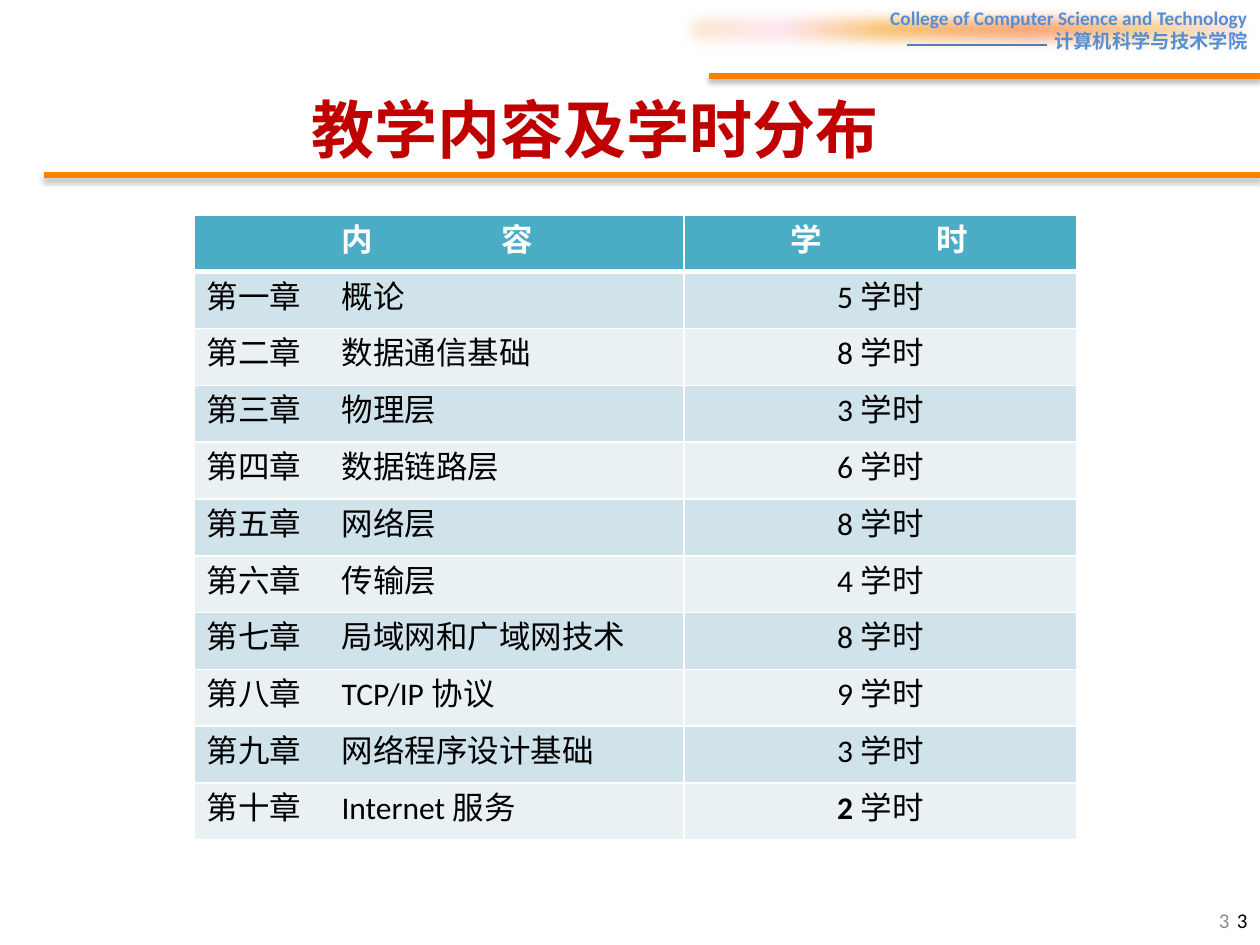
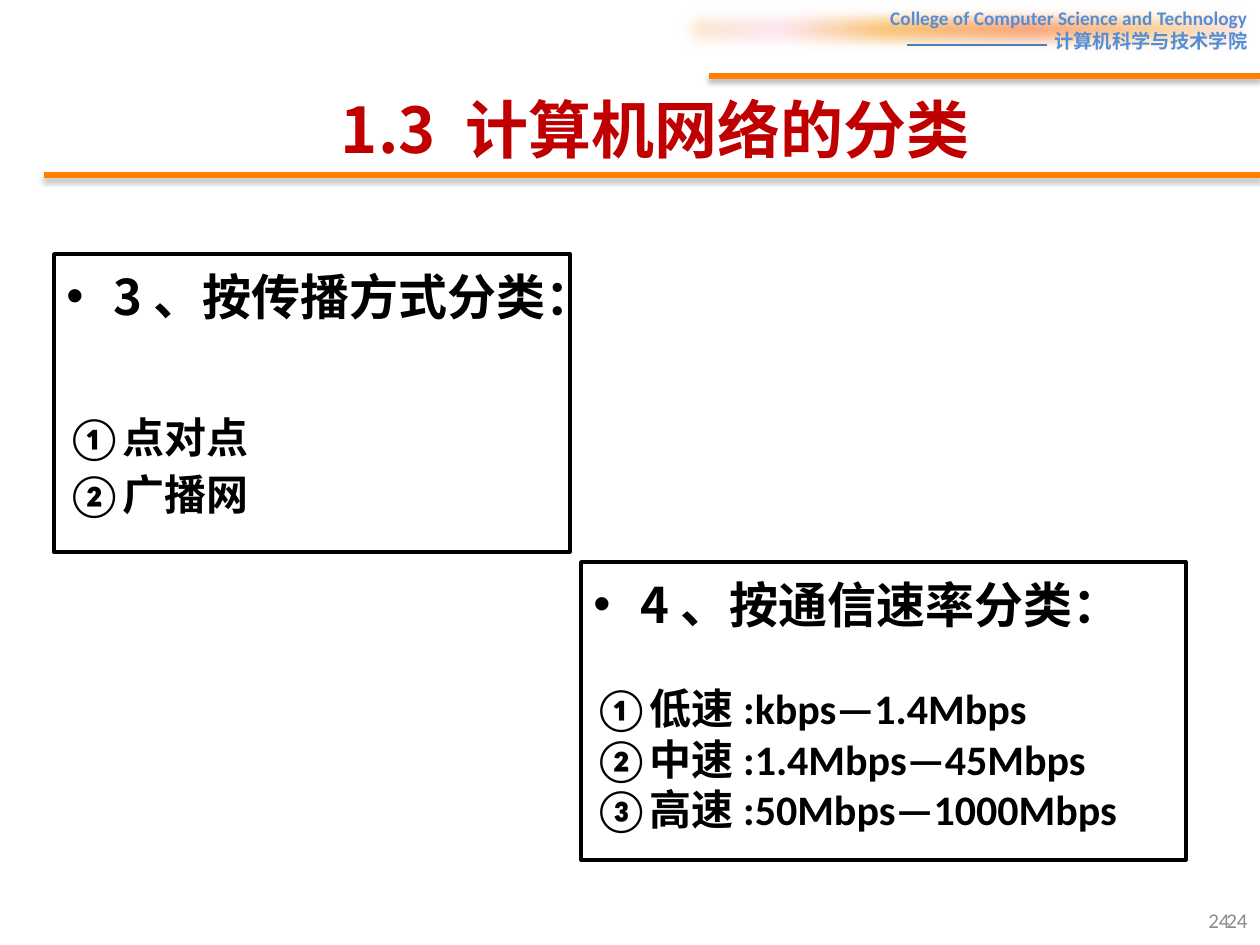
from dataclasses import dataclass

from lxml import etree
from pptx import Presentation
from pptx import util as u
from pptx.dml.color import RGBColor
from pptx.enum import shapes, text
from pptx.oxml import parse_xml
from pptx.oxml.ns import nsdecls, qn

SCALE = 914400 / 126  # EMU in one px
HUES = {
    "white": "FFFFFF", "black": "000000", "title": "C00000",
    "school": "558ED5", "thin": "4B7EBC", "rule": "FF8000",
    "page": "8C8C8C", "head": "4BACC6", "odd": "D0E3EA", "even": "E9F1F5",
}
GLOW = [(0, "FBEAC7"), (18, "FEE7F2"), (36, "FAC77D"),
        (61, "FBA97D"), (82, "FBD49C"), (100, "FEE7F2")]
SANS, CJK = "Calibri", "Noto Sans CJK SC"
LEFT, MID, RIGHT = text.PP_ALIGN.LEFT, text.PP_ALIGN.CENTER, text.PP_ALIGN.RIGHT


@dataclass(frozen=True)
class Box:
    x: int
    y: int
    w: int
    h: int

    def emu(self) -> list[int]:
        return [px(n) for n in (self.x, self.y, self.w, self.h)]


@dataclass(frozen=True)
class Style:
    size: int
    hue: str
    bold: bool = False
    face: str = SANS


@dataclass(frozen=True)
class Rule:
    x: int
    y: int
    end: int
    hue: str
    width: float
    shade: bool = False


@dataclass(frozen=True)
class Panel:
    box: Box
    head: str
    items: list[str]
    first: int  # points above the first item
    gap: int    # points above each later item


@dataclass(frozen=True)
class Page:
    title: str
    frame: Box
    number: str
    second: str  # hue of the right-hand number


TITLE = Style(36, "title", True, CJK)
SCHOOL = Style(11, "school", True)
HEAD = Style(28, "black", True, CJK)
ITEM = Style(24, "black", True)
CELL = Style(18, "black")
RULES = [
    Rule(907, 45, 1047, "thin", 0.75),
    Rule(44, 175, 1260, "rule", 3, True),
    Rule(709, 76, 1260, "rule", 3, True),
]
TOPICS = [
    ("第一章", "概论", 5), ("第二章", "数据通信基础", 8), ("第三章", "物理层", 3),
    ("第四章", "数据链路层", 6), ("第五章", "网络层", 8), ("第六章", "传输层", 4),
    ("第七章", "局域网和广域网技术", 8), ("第八章", "TCP/IP协议", 9),
    ("第九章", "网络程序设计基础", 3), ("第十章", "Internet服务", 2),
]
PANELS = [
    Panel(Box(54, 254, 516, 298), "3、按传播方式分类：",
          ["①点对点", "②广播网"], 49, 4),
    Panel(Box(581, 562, 605, 298), "4、按通信速率分类：",
          ["①低速:kbps—1.4Mbps", "②中速:1.4Mbps—45Mbps",
           "③高速:50Mbps—1000Mbps"], 28, 0),
]


def px(n: int) -> int:
    return round(n * SCALE)


def rgb(hue: str) -> RGBColor:
    return RGBColor.from_string(HUES[hue])


def add_run(para, words: str, style: Style) -> None:
    run = para.add_run()
    run.text = words
    font = run.font
    font.size, font.bold, font.name = u.Pt(style.size), style.bold, style.face
    font.color.rgb = rgb(style.hue)
    props = run._r.get_or_add_rPr()
    props.set("lang", "zh-CN")
    etree.SubElement(props, qn("a:ea"), typeface=style.face)


def add_para(frame, new: bool, align=LEFT):
    para = frame.add_paragraph() if new else frame.paragraphs[0]
    para.alignment = align
    return para


def add_rect(slide, box: Box):
    rect = slide.shapes.add_shape(shapes.MSO_SHAPE.RECTANGLE, *box.emu())
    rect.shadow.inherit = False
    rect.text_frame.word_wrap = True
    rect.text_frame.vertical_anchor = text.MSO_ANCHOR.TOP
    return rect


# Shared parts
def add_band(slide) -> None:
    band = add_rect(slide, Box(672, 0, 588, 59))
    band.line.fill.background()
    stops = "".join(f'<a:gs pos="{pos * 1000}"><a:srgbClr val="{hue}"/></a:gs>'
                    for pos, hue in GLOW)
    props = band._element.spPr
    props.find(qn("a:prstGeom")).addnext(parse_xml(
        f'<a:gradFill {nsdecls("a")}><a:gsLst>{stops}</a:gsLst>'
        '<a:lin ang="0" scaled="0"/></a:gradFill>'))
    etree.SubElement(props.find(qn("a:effectLst")), qn("a:softEdge"), rad="112500")
    for i, words in enumerate(["College of Computer Science and Technology",
                               "计算机科学与技术学院"]):
        add_run(add_para(band.text_frame, i > 0, RIGHT), words, SCHOOL)


def add_rule(slide, rule: Rule) -> None:
    y = px(rule.y)
    line = slide.shapes.add_connector(
        shapes.MSO_CONNECTOR.STRAIGHT, px(rule.x), y, px(rule.end), y)
    line.line.color.rgb = rgb(rule.hue)
    line.line.width = u.Pt(rule.width)
    effect = etree.SubElement(line._element.spPr, qn("a:effectLst"))
    if rule.shade:
        effect.append(parse_xml(
            f'<a:outerShdw {nsdecls("a")} blurRad="39400" dist="22900" '
            'dir="5400000" rotWithShape="0"><a:srgbClr val="000000">'
            '<a:alpha val="35000"/></a:srgbClr></a:outerShdw>'))


def add_number(slide, x: int, words: str, hue: str) -> None:
    frame = slide.shapes.add_textbox(*Box(x, 895, 294, 50).emu()).text_frame
    frame.word_wrap = True
    frame.vertical_anchor = text.MSO_ANCHOR.MIDDLE
    add_run(add_para(frame, False, RIGHT), words, Style(12, hue))


def add_page(deck, page: Page):
    slide = deck.slides.add_slide(deck.slide_layouts[5])
    add_band(slide)
    for rule in RULES:
        add_rule(slide, rule)
    title = slide.shapes.title
    title.left, title.top, title.width, title.height = page.frame.emu()
    frame = title.text_frame
    frame.word_wrap = True
    frame.auto_size = text.MSO_AUTO_SIZE.NONE
    frame.vertical_anchor = text.MSO_ANCHOR.MIDDLE
    add_run(add_para(frame, False, MID), page.title, TITLE)
    add_number(slide, 948, page.number, "page")
    add_number(slide, 966, page.number, page.second)
    return slide


# Timetable
def paint(cell, hue: str, base: float) -> None:
    props = cell._tc.get_or_add_tcPr()
    for side, width in zip("LRTB", (1, 1, 1, base)):
        props.append(parse_xml(
            f'<a:ln{side} {nsdecls("a")} w="{u.Pt(width)}"><a:solidFill>'
            f'<a:srgbClr val="{HUES["white"]}"/></a:solidFill></a:ln{side}>'))
    cell.fill.solid()
    cell.fill.fore_color.rgb = rgb(hue)


def set_tabs(para, stops: list[int]) -> None:
    tabs = etree.SubElement(para._p.get_or_add_pPr(), qn("a:tabLst"))
    for stop in stops:
        etree.SubElement(tabs, qn("a:tab"), pos=str(px(stop)), algn="l")


def add_hours(slide) -> None:
    box = Box(194, 215, 883, 625)
    count = len(TOPICS) + 1
    grid = slide.shapes.add_table(count, 2, *box.emu()).table
    for col, width in zip(grid.columns, (490, 393)):
        col.width = px(width)
    for row in grid.rows:
        row.height = px(box.h) // count
    # Header row
    heads = [("\t内\t容", [135, 295]), ("\t学\t时", [94, 240])]
    for i, (words, stops) in enumerate(heads):
        cell = grid.cell(0, i)
        paint(cell, "head", 3)
        para = add_para(cell.text_frame, False)
        set_tabs(para, stops)
        add_run(para, words, Style(18, "white", True))
    # Chapter rows
    for i, (part, topic, hours) in enumerate(TOPICS, 1):
        name, time = grid.cell(i, 0), grid.cell(i, 1)
        for cell in (name, time):
            paint(cell, "odd" if i % 2 else "even", 1)
        para = add_para(name.text_frame, False)
        set_tabs(para, [135])
        add_run(para, f"{part}\t{topic}", CELL)
        para = add_para(time.text_frame, False, MID)
        add_run(para, str(hours), Style(18, "black", i == len(TOPICS)))
        add_run(para, "学时", CELL)


# Text panels
def add_panel(slide, panel: Panel) -> None:
    rect = add_rect(slide, panel.box)
    rect.fill.solid()
    rect.fill.fore_color.rgb = rgb("white")
    rect.line.color.rgb = rgb("black")
    rect.line.width = u.Pt(2)
    frame = rect.text_frame
    para = add_para(frame, False)
    para.line_spacing = u.Pt(37)
    props = para._p.get_or_add_pPr()
    for key, value in (("marL", px(47)), ("indent", -px(47)), ("hangingPunct", 1)):
        props.set(key, str(value))
    etree.SubElement(props, qn("a:buFont"), typeface="Arial")
    etree.SubElement(props, qn("a:buChar"), char="•")
    add_run(para, panel.head, HEAD)
    for i, words in enumerate(panel.items):
        para = add_para(frame, True)
        para.line_spacing = u.Pt(29)
        para.space_before = u.Pt(panel.gap if i else panel.first)
        add_run(para, words, ITEM)


def main() -> None:
    deck = Presentation()
    deck.slide_width, deck.slide_height = px(1260), px(945)
    add_hours(add_page(deck, Page(
        "教学内容及学时分布", Box(194, 84, 803, 89), "3", "black")))
    kinds = add_page(deck, Page(
        "1.3 计算机网络的分类", Box(144, 84, 1022, 89), "24", "page"))
    for panel in PANELS:
        add_panel(kinds, panel)
    deck.save("out.pptx")


if __name__ == "__main__":
    main()
